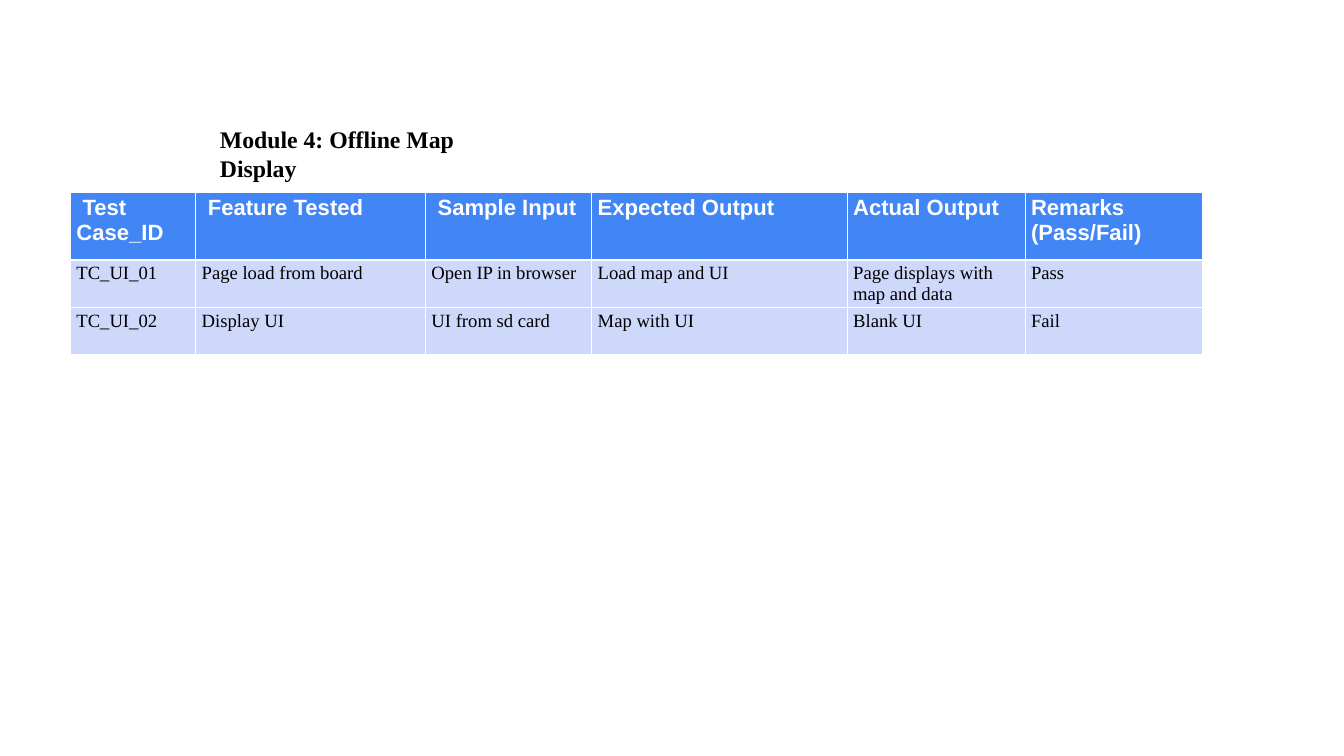
from lxml.etree import SubElement
from pptx import Presentation
from pptx.dml.color import RGBColor as RGB
from pptx.oxml.ns import qn
from pptx.util import Emu, Pt

SCALE = 9144
COLORS = {"header": "4285F4", "body": "CDD8FB", "white": "FFFFFF", "black": "000000"}
SANS, SERIF = "Arial", "Times New Roman"

COL_WIDTHS = [205, 376, 272, 418, 291, 291]
ROW_HEIGHTS = [111, 48, 76]
TEST_CASES = [
    [" Test Case_ID", " Feature Tested", " Sample Input",
     "Expected Output", "Actual Output", "Remarks (Pass/Fail)"],
    ["TC_UI_01", "Page load from board", "Open IP in browser",
     "Load map and UI", "Page displays with map and data", "Pass"],
    ["TC_UI_02", "Display UI", "UI from sd card",
     "Map with UI", "Blank UI", "Fail"],
]


def px(n):
    return Emu(n * SCALE)


class SlideBuilder:
    def __init__(self, prs):
        self.s = prs.slides.add_slide(prs.slide_layouts[6])

    def run(self, p, text, font, size, color, bold=False):
        r = p.add_run()
        r.text = text
        r.font.name = font
        r.font.size = Pt(size)
        r.font.bold = bold
        r.font.color.rgb = RGB.from_string(COLORS[color])

    def text(self, x, y, w, h, text, font, size, color, bold=False):
        tf = self.s.shapes.add_textbox(px(x), px(y), px(w), px(h)).text_frame
        tf.word_wrap = True
        self.run(tf.paragraphs[0], text, font, size, color, bold)

    def borders(self, cell, top, bottom):
        tc_pr = cell._tc.get_or_add_tcPr()
        widths = {"lnL": 0.96, "lnR": 0.96, "lnT": top, "lnB": bottom}
        for side, width in widths.items():
            ln = SubElement(tc_pr, qn(f"a:{side}"), w=str(Pt(width)))
            fill = SubElement(ln, qn("a:solidFill"))
            SubElement(fill, qn("a:srgbClr"), val=COLORS["white"])

    def table(self, x, y, col_widths, row_heights, rows):
        frame = self.s.shapes.add_table(
            len(rows), len(col_widths), px(x), px(y),
            px(sum(col_widths)), px(sum(row_heights)))
        table = frame.table
        for col, width in zip(table.columns, col_widths):
            col.width = px(width)
        for i, (row, height, texts) in enumerate(zip(table.rows, row_heights, rows)):
            row.height = px(height)
            for cell, text in zip(row.cells, texts):
                self.borders(cell, 3 if i == 1 else 0.96, 3 if i == 0 else 0.96)
                cell.fill.solid()
                cell.fill.fore_color.rgb = RGB.from_string(
                    COLORS["body" if i else "header"])
                style = (SERIF, 22, "black") if i else (SANS, 26, "white", True)
                self.run(cell.text_frame.paragraphs[0], text, *style)


def main():
    prs = Presentation()
    prs.slide_width, prs.slide_height = px(2199), px(1237)
    slide = SlideBuilder(prs)
    slide.table(115, 315, COL_WIDTHS, ROW_HEIGHTS, TEST_CASES)
    slide.text(350, 200, 530, 53, "Module 4: Offline Map Display",
               SERIF, 28, "black", True)
    prs.save("out.pptx")


if __name__ == "__main__":
    main()
